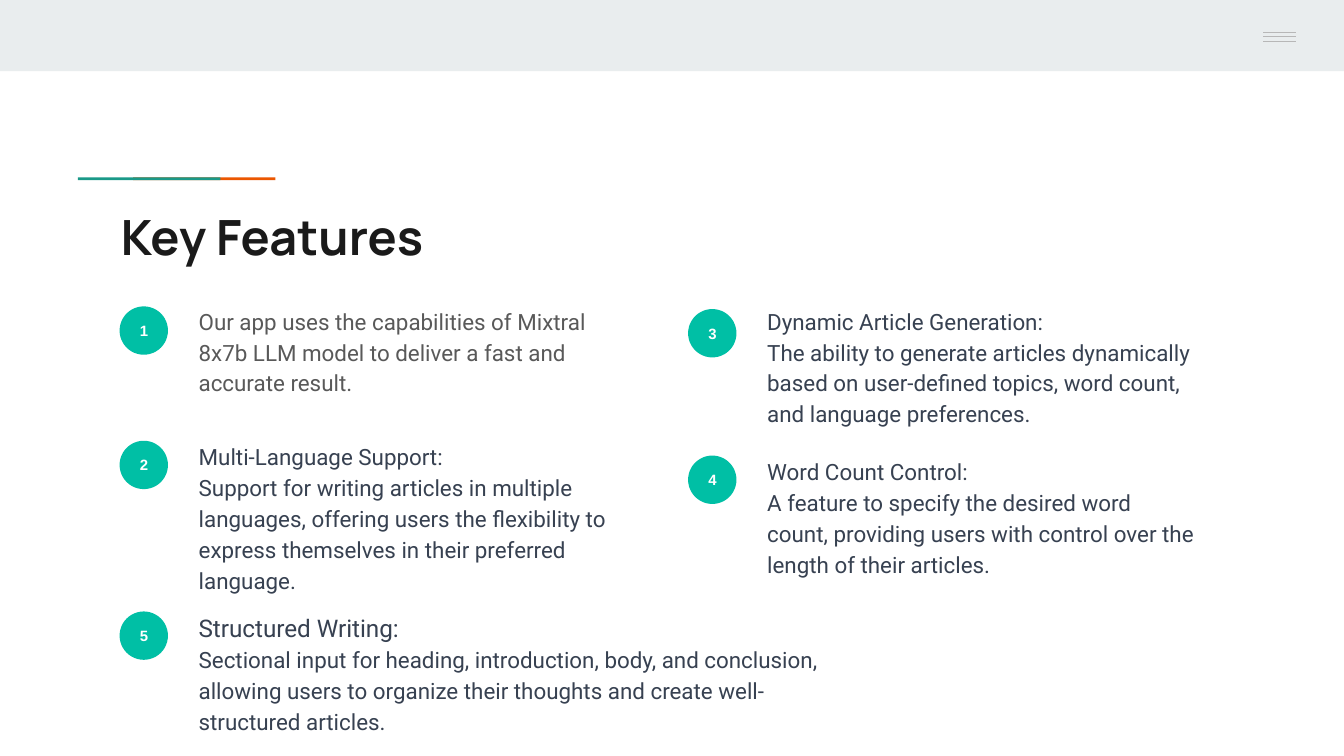
from dataclasses import dataclass

from lxml import etree
from pptx import Presentation
from pptx.dml.color import RGBColor
from pptx.enum.shapes import MSO_CONNECTOR, MSO_SHAPE
from pptx.enum.text import MSO_ANCHOR, MSO_AUTO_SIZE, PP_ALIGN
from pptx.oxml.ns import qn
from pptx.util import Inches, Pt


@dataclass(frozen=True)
class Theme:
    band: str = "E9EDEE"
    menu: str = "B7B7B7"
    orange: str = "EB5600"
    teal: str = "1A9988"
    badge: str = "00BFA5"
    white: str = "FFFFFF"
    heading: str = "1A1A1A"
    intro: str = "595959"
    body: str = "374151"
    title_size: int = 26
    lead_size: int = 13
    body_size: int = 12
    badge_size: int = 8


theme = Theme()


def write(target, lines, sizes, color, font="Roboto", bold=False,
          align=PP_ALIGN.LEFT, anchor=MSO_ANCHOR.TOP, spacing=1.0):
    frame = target.text_frame
    frame.word_wrap = True
    frame.auto_size = MSO_AUTO_SIZE.NONE
    frame.vertical_anchor = anchor
    frame.margin_left = frame.margin_right = Inches(0.1)
    frame.margin_top = frame.margin_bottom = Inches(0.1)
    for index, (line, size) in enumerate(zip(lines, sizes)):
        paragraph = frame.add_paragraph() if index else frame.paragraphs[0]
        paragraph.alignment = align
        paragraph.line_spacing = spacing
        paragraph.space_before = paragraph.space_after = Pt(0)
        run = paragraph.add_run()
        run.text = line
        run.font.name = font
        run.font.size = Pt(size)
        run.font.bold = bold
        run.font.color.rgb = RGBColor.from_string(color)


def add_block(kind, left, top, width, height, color):
    block = slide.shapes.add_shape(
        kind, Inches(left), Inches(top), Inches(width), Inches(height))
    block.shadow.inherit = False
    block.fill.solid()
    block.fill.fore_color.rgb = RGBColor.from_string(color)
    block.line.fill.background()
    return block


presentation = Presentation()
presentation.slide_width = Inches(10)
presentation.slide_height = Inches(10) * 9 // 16
slide = presentation.slides.add_slide(presentation.slide_layouts[5])

for left, top, width, height, color in [
    (0, 0, 10, 0.53, theme.band),
    (0.99, 1.32, 1.06, 0.02, theme.orange),
    (0.58, 1.32, 1.06, 0.02, theme.teal),
]:
    add_block(MSO_SHAPE.RECTANGLE, left, top, width, height, color)

for height in (0.24, 0.27, 0.31):
    menu_bar = slide.shapes.add_connector(
        MSO_CONNECTOR.STRAIGHT, Inches(9.4), Inches(height), Inches(9.64), Inches(height))
    menu_bar.line.color.rgb = RGBColor.from_string(theme.menu)
    menu_bar.line.width = Pt(0.75)
    etree.SubElement(menu_bar._element.spPr, qn("a:effectLst"))

title = slide.shapes.title
title.left, title.top = Inches(0.8), Inches(1.44)
title.width, title.height = Inches(8.41), Inches(0.59)
write(title, ["Key Features"], [theme.title_size], theme.heading,
      font="Manrope", bold=True)

body_sizes = [theme.body_size] * 2
features = [
    (0.89, 2.28, 2.16, 3.1, 0.82, theme.intro, body_sizes, [
        "Our app uses the capabilities of Mixtral 8x7b LLM model to deliver a fast and accurate result."]),
    (0.89, 3.28, 3.17, 3.39, 1.35, theme.body, body_sizes, [
        "Multi-Language Support:",
        "Support for writing articles in multiple languages, offering users the flexibility to "
        "express themselves in their preferred language."]),
    (5.12, 2.3, 2.16, 3.39, 1.15, theme.body, body_sizes, [
        "Dynamic Article Generation:",
        "The ability to generate articles dynamically based on user-defined topics, word count, "
        "and language preferences."]),
    (5.12, 3.39, 3.28, 3.39, 1.15, theme.body, body_sizes, [
        "Word Count Control:",
        "A feature to specify the desired word count, providing users with control over the "
        "length of their articles."]),
    (0.89, 4.55, 4.43, 5.07, 1.15, theme.body, [theme.lead_size, theme.body_size], [
        "Structured Writing:",
        "Sectional input for heading, introduction, body, and conclusion, allowing users to "
        "organize their thoughts and create well-structured articles."]),
]

for number, feature in enumerate(features, start=1):
    left, badge_top, top, width, height, color, sizes, lines = feature
    badge = add_block(MSO_SHAPE.OVAL, left, badge_top, 0.36, 0.36, theme.badge)
    write(badge, [str(number)], [theme.badge_size], theme.white, font="Arial",
          bold=True, align=PP_ALIGN.CENTER, anchor=MSO_ANCHOR.MIDDLE)
    description = slide.shapes.add_textbox(
        Inches(left + 0.49), Inches(top), Inches(width), Inches(height))
    write(description, lines, sizes, color, spacing=1.15)

presentation.save("out.pptx")
